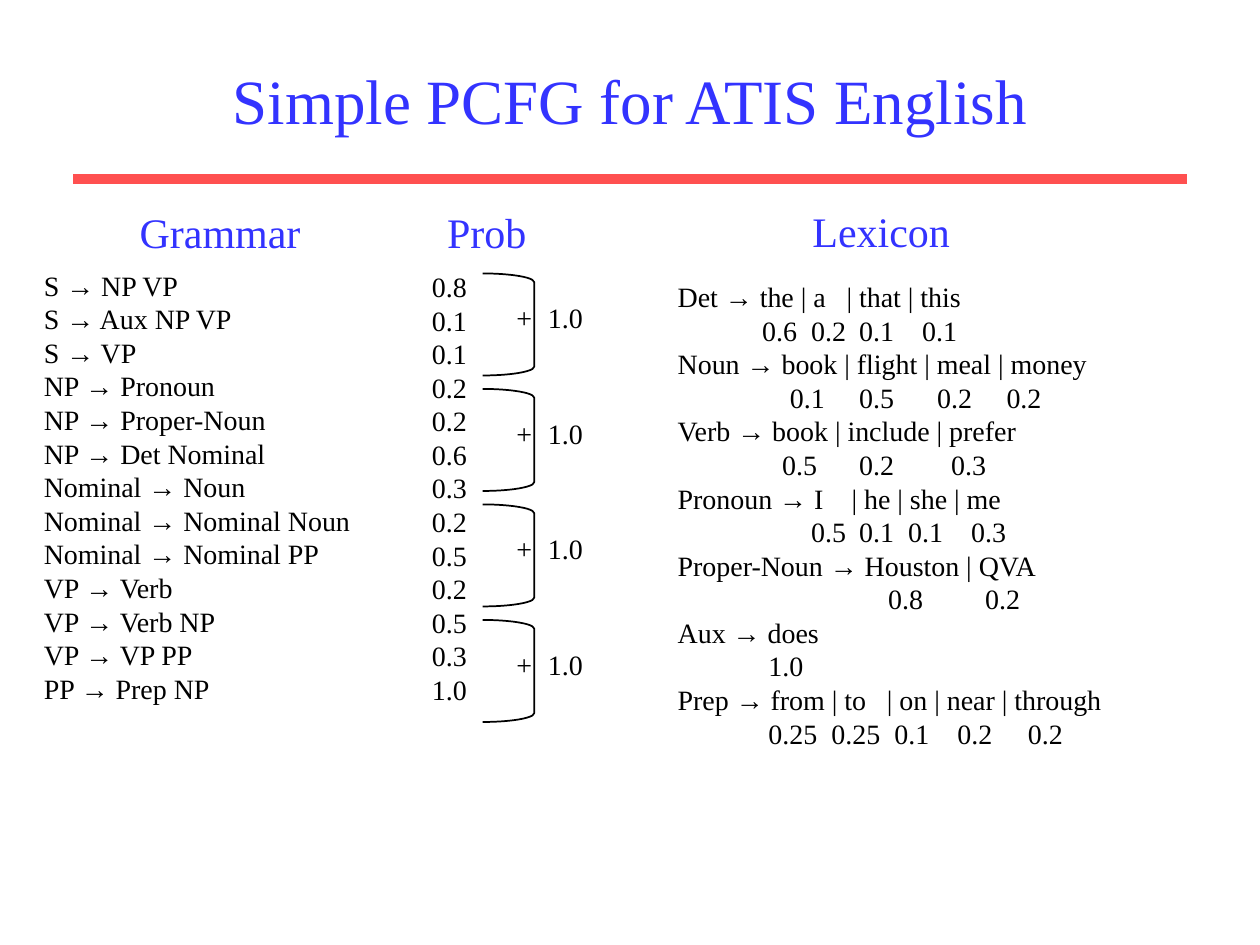
"""Build the slide with a simple PCFG: grammar rules, probabilities and lexicon."""
from lxml import etree
from pptx import Presentation
from pptx import util as u
from pptx.dml.color import RGBColor
from pptx.enum import shapes, text
from pptx.oxml import ns

BLUE = RGBColor(0x33, 0x33, 0xFF)
RED = RGBColor(0xFF, 0x50, 0x50)
BLACK = RGBColor(0, 0, 0)

presentation = Presentation()
presentation.slide_width = u.Inches(10)
presentation.slide_height = u.Inches(7.5)
slide = presentation.slides.add_slide(presentation.slide_layouts[5])


def write(shape, lines, size=16, color=BLACK, align=text.PP_ALIGN.LEFT, tabs=()):
    frame = shape.text_frame
    frame.word_wrap = True
    frame.text = "\n".join(lines)
    for index, paragraph in enumerate(frame.paragraphs):
        paragraph.alignment = align
        paragraph.font.size = u.Pt(size)
        paragraph.font.name = "Times New Roman"
        paragraph.font.color.rgb = color
        if tabs and tabs[index]:
            stops = etree.Element(ns.qn("a:tabLst"))
            for position in tabs[index]:
                etree.SubElement(stops, ns.qn("a:tab"), pos=str(u.Inches(position)), algn="l")
            paragraph._p.get_or_add_pPr().insert(0, stops)


def add_text(left, top, width, height, lines, **style):
    box = slide.shapes.add_textbox(*map(u.Inches, (left, top, width, height)))
    write(box, lines, **style)


title = slide.shapes.title
title.left, title.top = u.Inches(0.75), u.Inches(0.25)
title.width, title.height = u.Inches(8.5), u.Inches(1.08)
write(title, ["Simple PCFG for ATIS English"], size=36, color=BLUE, align=text.PP_ALIGN.CENTER)
title.text_frame.vertical_anchor = text.MSO_ANCHOR.MIDDLE

rule = slide.shapes.add_connector(
    shapes.MSO_CONNECTOR.STRAIGHT, u.Inches(0.58), u.Inches(1.42), u.Inches(9.42), u.Inches(1.42))
rule.line.color.rgb = RED
rule.line.width = u.Pt(6)
etree.SubElement(rule._element.spPr, ns.qn("a:effectLst"))

for heading, left, top, width in [
    ("Grammar", 1.01, 1.59, 1.52),
    ("Prob", 3.45, 1.59, 0.87),
    ("Lexicon", 6.35, 1.58, 1.33),
]:
    add_text(left, top, width, 0.5, [heading], size=24, color=BLUE)

grammar = [
    ("S → NP VP", "0.8"),
    ("S → Aux NP VP", "0.1"),
    ("S → VP", "0.1"),
    ("NP → Pronoun", "0.2"),
    ("NP → Proper-Noun", "0.2"),
    ("NP → Det Nominal", "0.6"),
    ("Nominal → Noun", "0.3"),
    ("Nominal → Nominal Noun", "0.2"),
    ("Nominal → Nominal PP", "0.5"),
    ("VP → Verb", "0.2"),
    ("VP → Verb NP", "0.5"),
    ("VP → VP PP", "0.3"),
    ("PP → Prep NP", "1.0"),
]
productions, probabilities = zip(*grammar)
add_text(0.25, 2.08, 3.16, 3.57, productions)
add_text(3.33, 2.09, 0.58, 3.57, probabilities)

for group in range(4):
    top = 2.17 + 2.75 * group / 3
    bracket = slide.shapes.add_shape(
        shapes.MSO_SHAPE.RIGHT_BRACKET, u.Inches(3.83), u.Inches(top), u.Inches(0.41), u.Inches(0.81))
    bracket.adjustments[0] = 0.17
    bracket.shadow.inherit = False
    bracket.fill.background()
    bracket.line.color.rgb = BLACK
    bracket.line.width = u.Pt(1)
    add_text(4, top + 0.17, 0.35, 0.37, ["+"])
    add_text(4.25, top + 0.17, 0.58, 0.37, ["1.0"])

lexicon = [
    ("Det → the | a\t| that | this", [1.34], "0.6 0.2 0.1 0.1", [0.67, 1.06, 1.44, 1.94]),
    ("Noun → book | flight | meal | money", [], "0.1 0.5 0.2 0.2", [0.89, 1.44, 2.06, 2.61]),
    ("Verb → book | include | prefer", [], "0.5 0.2 0.3", [0.83, 1.44, 2.17]),
    ("Pronoun → I\t| he | she | me", [1.38], "0.5 0.1 0.1 0.3", [1.06, 1.44, 1.83, 2.33]),
    ("Proper-Noun → Houston | QVA", [], "0.8 0.2", [1.67, 2.44]),
    ("Aux → does", [], "1.0", [0.72]),
    ("Prep → from | to\t| on | near | through", [1.66],
     "0.25 0.25 0.1 0.2 0.2", [0.72, 1.22, 1.72, 2.22, 2.78]),
]
lines, tabs = [], []
for words, word_tabs, values, value_tabs in lexicon:
    lines += [words, "\t" + values.replace(" ", "\t")]
    tabs += [word_tabs, value_tabs]
add_text(5.28, 2.17, 4.72, 3.83, lines, tabs=tabs)

presentation.save("out.pptx")
